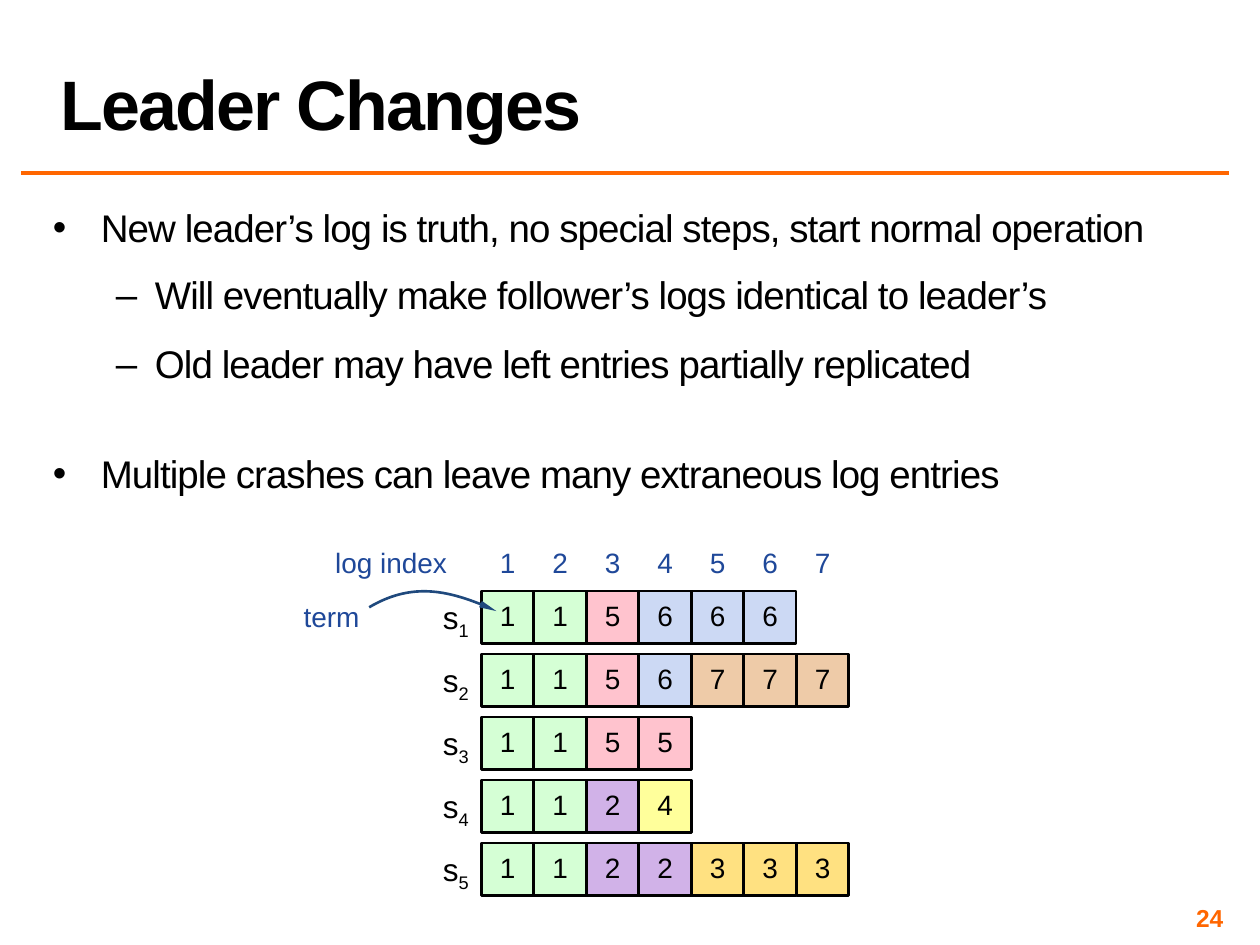
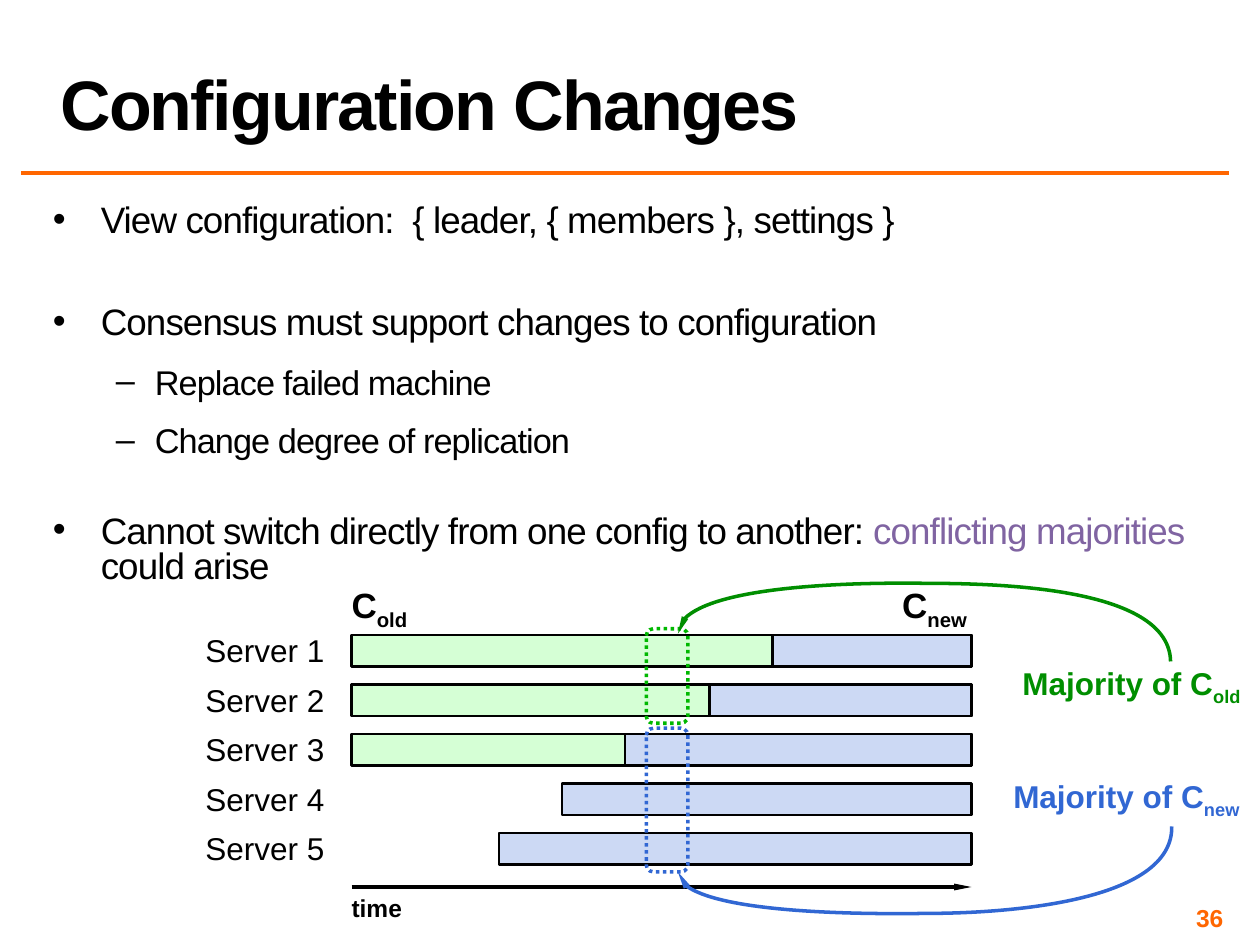
from dataclasses import dataclass

from lxml.etree import SubElement
from pptx import Presentation
from pptx.dml.color import RGBColor
from pptx.enum.dml import MSO_LINE_DASH_STYLE as Dash
from pptx.enum.shapes import MSO_CONNECTOR as Connector, MSO_SHAPE as Shape
from pptx.enum.text import MSO_ANCHOR as Anchor, MSO_AUTO_SIZE as AutoSize, PP_ALIGN as Align
from pptx.oxml.ns import qn
from pptx.util import Inches, Pt

FONT = "Arial"
BLACK = RGBColor(0x00, 0x00, 0x00)
ORANGE = RGBColor(0xFF, 0x66, 0x00)
NAVY = RGBColor(0x1F, 0x48, 0x99)
ARROW_NAVY = RGBColor(0x1F, 0x49, 0x7D)
PURPLE = RGBColor(0x80, 0x64, 0xA2)
GREEN = RGBColor(0x00, 0x8E, 0x00)
BRIGHT_GREEN = RGBColor(0x00, 0xB8, 0x00)
BLUE = RGBColor(0x31, 0x67, 0xD3)
PALE_GREEN = RGBColor(0xD5, 0xFF, 0xD5)
PALE_BLUE = RGBColor(0xCC, 0xD9, 0xF4)

TERM_FILLS = {
    "1": PALE_GREEN,
    "2": RGBColor(0xD1, 0xB2, 0xE8),
    "3": RGBColor(0xFF, 0xE1, 0x81),
    "4": RGBColor(0xFF, 0xFF, 0x9B),
    "5": RGBColor(0xFF, 0xC3, 0xCE),
    "6": PALE_BLUE,
    "7": RGBColor(0xEE, 0xCB, 0xA8),
}


@dataclass(frozen=True)
class Style:
    size: float
    color: RGBColor = BLACK
    bold: bool = False
    align: Align = Align.LEFT


@dataclass(frozen=True)
class Bullet:
    text: str  # words between asterisks are highlighted
    size: float
    level: int = 0
    before: float = 0
    after: float = 6
    spacing: float = 1.0


@dataclass(frozen=True)
class ServerBar:
    start: float
    switch: float  # where the new configuration takes over


@dataclass(frozen=True)
class Majority:
    label: str
    label_left: float
    label_top: float
    color: RGBColor
    frame_color: RGBColor
    frame_top: float
    frame_height: float
    curve: tuple


# Text helpers
def set_font(paragraph, style: Style) -> None:
    font = paragraph.font
    font.name, font.size, font.bold = FONT, Pt(style.size), style.bold
    font.color.rgb = style.color
    paragraph.alignment = style.align


def set_margins(frame, side, top) -> None:
    frame.margin_left = frame.margin_right = side
    frame.margin_top = frame.margin_bottom = top


def add_run(paragraph, text: str, **attributes: str):
    run = paragraph.add_run()
    run.text = text
    for key, value in attributes.items():
        run._r.get_or_add_rPr().set(key, value)
    return run


def add_label(slide, text: str, left, top, width, height, style: Style, wrap: bool = True) -> None:
    """Place a label; whatever follows an underscore becomes a subscript."""
    frame = slide.shapes.add_textbox(left, top, width, height).text_frame
    set_margins(frame, 0, 0)
    frame.word_wrap = wrap
    frame.auto_size = AutoSize.SHAPE_TO_FIT_TEXT
    paragraph = frame.paragraphs[0]
    set_font(paragraph, style)
    base, _, subscript = text.partition("_")
    add_run(paragraph, base)
    if subscript:
        add_run(paragraph, subscript, baseline="-25000")


def add_bullets(slide, bullets: list[Bullet], top, width, height) -> None:
    frame = slide.shapes.add_textbox(Inches(0.38), top, width, height).text_frame
    set_margins(frame, Inches(0.04), Inches(0.04))
    frame.word_wrap = True
    for index, bullet in enumerate(bullets):
        paragraph = frame.paragraphs[0] if index == 0 else frame.add_paragraph()
        margin, hanging, mark = ((0.38, 0.38, "•"), (0.81, 0.31, "–"))[bullet.level]
        properties = paragraph._p.get_or_add_pPr()
        properties.set("marL", str(Inches(margin)))
        properties.set("indent", str(-Inches(hanging)))
        SubElement(properties, qn("a:buFont")).set("typeface", FONT)
        SubElement(properties, qn("a:buChar")).set("char", mark)
        paragraph.level = bullet.level
        paragraph.line_spacing = bullet.spacing
        paragraph.space_before, paragraph.space_after = Pt(bullet.before), Pt(bullet.after)
        set_font(paragraph, Style(bullet.size))
        for part, words in enumerate(bullet.text.split("*")):
            run = add_run(paragraph, words, spc="-50")
            if part % 2:
                run.font.color.rgb = PURPLE


# Drawing helpers
def add_box(slide, left, top, width, height, fill, kind=Shape.RECTANGLE, color=BLACK, weight=1.5):
    box = slide.shapes.add_shape(kind, left, top, width, height)
    box.shadow.inherit = False
    if fill is None:
        box.fill.background()
    else:
        box.fill.solid()
        box.fill.fore_color.rgb = fill
    box.line.color.rgb = color
    box.line.width = Pt(weight)
    return box


def style_line(line_shape, color: RGBColor, weight: float, arrow: bool) -> None:
    line_shape.line.color.rgb = color
    line_shape.line.width = Pt(weight)
    if arrow:
        head = SubElement(line_shape._element.spPr.find(qn("a:ln")), qn("a:tailEnd"))
        for key, value in (("type", "triangle"), ("w", "sm"), ("len", "lg")):
            head.set(key, value)


def add_rule(slide, left, right, y, color: RGBColor, weight: float, arrow: bool = False) -> None:
    rule = slide.shapes.add_connector(Connector.STRAIGHT, left, y, right, y)
    style_line(rule, color, weight, arrow)
    SubElement(rule._element.spPr, qn("a:effectLst"))


def add_curved_arrow(slide, points: tuple, color: RGBColor, weight: float) -> None:
    """Draw cubic curves: a start point, then three points for each curve."""
    (start_x, start_y), *rest = points
    builder = slide.shapes.build_freeform(Inches(start_x), Inches(start_y))
    builder.add_line_segments([(Inches(x), Inches(y)) for x, y in rest], close=False)
    arrow = builder.convert_to_shape()
    arrow.shadow.inherit = False
    arrow.fill.background()
    style_line(arrow, color, weight, arrow=True)
    # Turn each three straight segments into one curve
    outline = next(arrow._element.iter(qn("a:path")))
    segments = outline.findall(qn("a:lnTo"))
    for first in range(0, len(segments), 3):
        curve = SubElement(outline, qn("a:cubicBezTo"))
        for segment in segments[first:first + 3]:
            curve.append(segment[0])
            outline.remove(segment)


# Shared slide frame
def add_slide(deck, title: str, number: int):
    slide = deck.slides.add_slide(deck.slide_layouts[6])
    add_rule(slide, Inches(0.17), Inches(9.75), Inches(1.37), ORANGE, 2.25)

    frame = slide.shapes.add_textbox(Inches(0.38), Inches(0.02), Inches(9.37), Inches(1.17)).text_frame
    frame.word_wrap = True
    frame.vertical_anchor = Anchor.BOTTOM
    heading = frame.paragraphs[0]
    heading.line_spacing = 0.8
    set_font(heading, Style(40, bold=True))
    add_run(heading, title, spc="-100")

    frame = slide.shapes.add_textbox(Inches(7.42), Inches(7.17), Inches(2.33), Inches(0.23)).text_frame
    frame.word_wrap = True
    frame.vertical_anchor = Anchor.MIDDLE
    set_margins(frame, Inches(0.04), Inches(0.04))
    set_font(frame.paragraphs[0], Style(14, ORANGE, True, Align.RIGHT))
    add_run(frame.paragraphs[0], str(number))
    return slide


def build_leader_changes(deck) -> None:
    slide = add_slide(deck, "Leader Changes", 24)
    add_bullets(slide, [
        Bullet("New leader’s log is truth, no special steps, start normal operation", 22),
        Bullet("Will eventually make follower’s logs identical to leader’s", 22, 1, 8, spacing=0.95),
        Bullet("Old leader may have left entries partially replicated", 22, 1, 8, spacing=0.95),
        Bullet("Multiple crashes can leave many extraneous log entries", 22, before=30),
    ], Inches(1.58), Inches(9.59), Inches(2.6))

    # Log index row
    cell = Inches(5) // 12
    grid_left, grid_top, row_pitch = Inches(3.82), Inches(4.69), Inches(0.5)
    index_style = Style(16, NAVY, align=Align.CENTER)
    for column in range(7):
        add_label(slide, str(column + 1), grid_left + column * cell, Inches(4.33),
                  cell, Inches(0.27), index_style)
    add_label(slide, "log index", Inches(2.66), Inches(4.33), Inches(1.25), Inches(0.27), Style(16, NAVY))

    # One log per server, each cell holding the term of its entry
    for row, log in enumerate(("115666", "1156777", "1155", "1124", "1122333")):
        top = grid_top + row * row_pitch
        add_label(slide, f"s_{row + 1}", Inches(3.41), top + Inches(0.06), cell, Inches(0.3),
                  Style(18, align=Align.CENTER))
        for column, term in enumerate(log):
            entry = add_box(slide, grid_left + column * cell, top, cell, cell, TERM_FILLS[term])
            frame = entry.text_frame
            set_margins(frame, 0, 0)
            frame.vertical_anchor = Anchor.MIDDLE
            frame.text = term
            frame.paragraphs[0].line_spacing = Pt(17)
            set_font(frame.paragraphs[0], Style(16, align=Align.CENTER))

    add_label(slide, "term", Inches(2.41), Inches(4.76), Inches(0.83), Inches(0.27), Style(16, NAVY))
    add_curved_arrow(slide, ((2.93, 4.82), (3.25, 4.63), (3.61, 4.69), (3.94, 4.85)), ARROW_NAVY, 1.5)


def build_configuration_changes(deck) -> None:
    slide = add_slide(deck, "Configuration Changes", 36)
    add_bullets(slide, [
        Bullet("View configuration:  { leader, { members }, settings }", 21, after=8, spacing=0.8),
        Bullet("Consensus must support changes to configuration", 21, 0, 30, 8, 0.8),
        Bullet("Replace failed machine", 19.6, 1, 8, 8, 0.75),
        Bullet("Change degree of replication", 19.6, 1, 8, 8, 0.75),
        Bullet("Cannot switch directly from one config to another: *conflicting majorities *could arise",
               21, 0, 24, 8, 0.8),
    ], Inches(1.59), Inches(9.37), Inches(3.28))

    # Server timelines
    bars_left, bars_right, bar_height = Inches(2.79), Inches(7.71), Inches(0.25)
    bars = (ServerBar(2.79, 6.13), ServerBar(2.79, 5.63), ServerBar(2.79, 4.96),
            ServerBar(4.46, 4.46), ServerBar(3.96, 3.96))
    for row, bar in enumerate(bars):
        top = Inches(5.04) + row * Inches(1.57) // 4
        start, switch = Inches(bar.start), Inches(bar.switch)
        if start < switch:
            add_box(slide, start, top, bars_right - start, bar_height, PALE_GREEN)
        add_box(slide, switch, top, bars_right - switch, bar_height, PALE_BLUE)
        add_label(slide, f"Server {row + 1}", Inches(1.63), top - Inches(0.03),
                  Inches(1.1), Inches(0.3), Style(18))

    for name, left in (("C_old", 2.79), ("C_new", 7.16)):
        add_label(slide, name, Inches(left), Inches(4.63), Inches(0.8), Inches(0.34),
                  Style(20, bold=True))
    add_rule(slide, bars_left, bars_right, Inches(7.04), BLACK, 1.75, arrow=True)
    add_label(slide, "time", bars_left, Inches(7.09), Inches(0.8), Inches(0.24), Style(14, bold=True))

    # Conflicting majorities
    majorities = (
        Majority("Majority of C_new", 8.01, 6.17, BLUE, BLUE, 5.78, 1.14,
                 ((9.3, 6.56), (9.31, 7.15), (8.03, 7.25), (7.35, 7.25),
                  (6.66, 7.26), (5.37, 7.22), (5.38, 6.92))),
        Majority("Majority of C_old", 8.09, 5.27, GREEN, BRIGHT_GREEN, 4.99, 0.75,
                 ((9.29, 5.25), (9.28, 4.68), (8.02, 4.63), (7.35, 4.63),
                  (6.68, 4.62), (5.37, 4.67), (5.38, 5.03))),
    )
    for majority in majorities:
        frame = add_box(slide, Inches(5.13), Inches(majority.frame_top), Inches(0.33),
                        Inches(majority.frame_height), None, Shape.ROUNDED_RECTANGLE,
                        majority.frame_color, 2)
        frame.line.dash_style = Dash.ROUND_DOT
        add_label(slide, majority.label, Inches(majority.label_left), Inches(majority.label_top),
                  Inches(9.87 - majority.label_left), Inches(0.3),
                  Style(18, majority.color, True, Align.CENTER), wrap=False)
        add_curved_arrow(slide, majority.curve, majority.color, 2)


def main() -> None:
    deck = Presentation()
    deck.slide_width, deck.slide_height = Inches(10), Inches(7.5)
    build_leader_changes(deck)
    build_configuration_changes(deck)
    deck.save("out.pptx")


if __name__ == "__main__":
    main()
